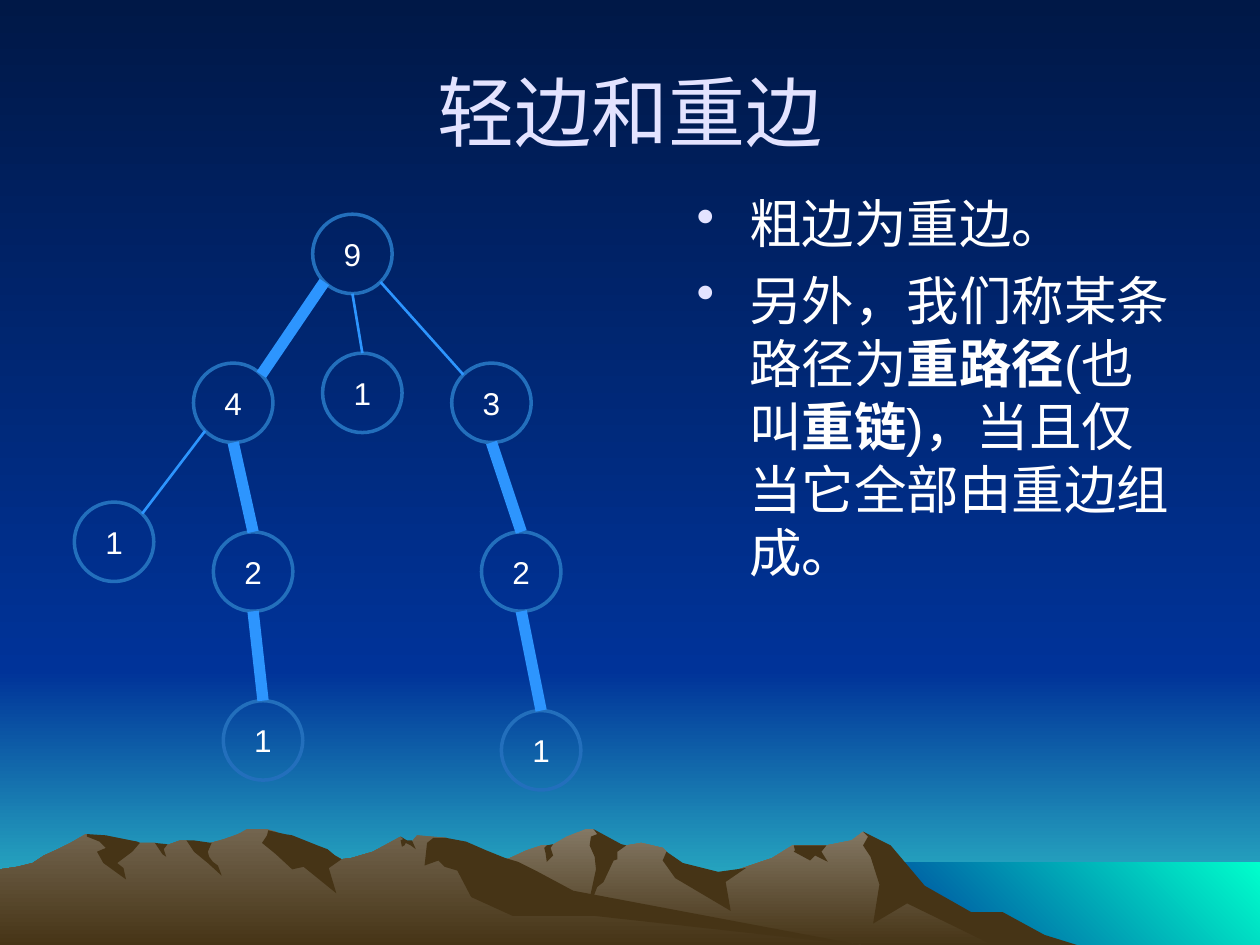
from math import sqrt

from lxml.etree import SubElement
from pptx import Presentation
from pptx.dml.color import RGBColor
from pptx.enum.shapes import MSO_CONNECTOR, MSO_SHAPE
from pptx.enum.text import MSO_ANCHOR, PP_ALIGN
from pptx.oxml.ns import qn
from pptx.util import Inches, Pt

WIDTH, HEIGHT = 10, 7.5
NIGHT = RGBColor(0x00, 0x18, 0x47)
BLUE = RGBColor(0x00, 0x33, 0x99)
HORIZON = RGBColor(0x33, 0xCC, 0xCC)
SEA = RGBColor(0x00, 0xFF, 0xCC)
ROCK = RGBColor(0x84, 0x78, 0x64)
NEAR_ROCK = RGBColor(0x73, 0x65, 0x4F)
EARTH = RGBColor(0x46, 0x34, 0x16)
LAVENDER = RGBColor(0xE3, 0xE3, 0xFF)
WHITE = RGBColor(0xFF, 0xFF, 0xFF)
RING = RGBColor(0x23, 0x6F, 0xBC)
EDGE = RGBColor(0x2D, 0x95, 0xFE)
DOWN, UP_RIGHT = 270, 45

# Outlines in hundredths of an inch from the corner of the slide
FAR_RIDGE = [
    (802, 740), (778, 727), (764, 723), (723, 698), (702, 671), (685, 660), (676, 667),
    (656, 671), (629, 671), (613, 681), (566, 697), (536, 690), (529, 676), (526, 673),
    (509, 669), (486, 673), (474, 661), (471, 658), (465, 658), (450, 664), (438, 671),
    (430, 671), (418, 675), (405, 681), (394, 685), (355, 698), (327, 709), (277, 739),
    (258, 751), (821, 751)]
FAR_SHADES = [
    [(796, 724), (771, 724), (734, 703), (707, 671), (685, 660), (689, 664), (685, 671),
     (691, 680), (698, 702), (693, 733), (720, 717), (792, 752), (858, 751), (829, 742)],
    [(471, 658), (474, 662), (469, 664), (468, 671), (472, 680), (473, 690), (465, 727),
     (474, 704), (479, 700), (487, 683), (490, 682), (490, 676), (497, 671), (493, 670)],
    [(529, 676), (526, 683), (536, 697), (580, 723), (576, 700), (592, 689), (570, 692),
     (542, 685)],
    [(650, 671), (630, 671), (631, 675), (630, 676), (643, 683), (647, 679), (657, 684),
     (652, 676), (656, 671)],
    [(433, 677), (432, 673), (434, 671), (439, 670), (437, 673), (439, 679), (434, 684)]]
NEAR_RIDGE = [
    (690, 751), (667, 748), (432, 712), (354, 665), (331, 663), (327, 668), (323, 668),
    (318, 664), (296, 676), (279, 681), (271, 682), (260, 676), (236, 681), (223, 663),
    (219, 660), (212, 658), (196, 658), (189, 662), (178, 666), (160, 671), (148, 667),
    (143, 667), (132, 671), (128, 671), (123, 669), (111, 669), (94, 671), (68, 662),
    (56, 669), (46, 674), (35, 679), (26, 685), (14, 688), (0, 690), (0, 751)]
NEAR_SHADES = [
    [(212, 663), (208, 669), (219, 678), (232, 690), (241, 688), (267, 709), (261, 689),
     (271, 682), (266, 679), (260, 674), (252, 671), (232, 663), (226, 662), (213, 659)],
    [(370, 668), (354, 665), (344, 665), (339, 669), (337, 687), (348, 683), (353, 688),
     (363, 691), (374, 712), (407, 727), (472, 727), (690, 751), (683, 750), (455, 707),
     (427, 692), (411, 684), (401, 681), (386, 675)],
    [(318, 667), (320, 666), (318, 664), (323, 667), (327, 667), (330, 674), (326, 671),
     (322, 669), (321, 671), (319, 672)],
    [(154, 667), (168, 669), (165, 676), (166, 680), (169, 684), (173, 687), (176, 695),
     (165, 685), (154, 676), (148, 667)],
    [(133, 670), (130, 674), (132, 680), (129, 678), (123, 669)],
    [(109, 668), (111, 669), (105, 676), (93, 685), (98, 689), (100, 698), (82, 685),
     (77, 676), (84, 673), (79, 668), (69, 664), (69, 662), (84, 663), (94, 665)]]

# name: (label, column, row); a node spans 8 grid cells
NODE_SPAN, TREE_COLS, TREE_ROWS = 8, 51, 58
NODES = {
    "root": ("9", 24, 0), "middle": ("1", 25, 14),
    "left": ("4", 12, 15), "right": ("3", 38, 15),
    "outer": ("1", 0, 29), "left2": ("2", 14, 32), "right2": ("2", 41, 32),
    "right3": ("1", 43, 50), "left3": ("1", 15, 49)}
# parent, child, sideways direction of the joint, heavy edge or not
EDGES = [
    ("root", "left", -1, True), ("left", "outer", -1, False),
    ("root", "middle", 0, False), ("root", "right", 1, False),
    ("left", "left2", 0, True), ("left2", "left3", 0, True),
    ("right", "right2", 0, True), ("right2", "right3", 0, True)]


def set_gradient(fill, first, last, angle):
    fill.gradient()
    fill.gradient_angle = angle
    for stop, color in zip(fill.gradient_stops, (first, last)):
        stop.color.rgb = color


def paint(sp, colors, angle=DOWN):
    """Fill with one colour, or with a gradient between two."""
    sp.shadow.inherit = False
    sp.line.fill.background()
    if len(colors) == 2:
        set_gradient(sp.fill, *colors, angle)
    else:
        sp.fill.solid()
        sp.fill.fore_color.rgb = colors[0]


def add_band(s, box, colors, angle=DOWN):
    paint(s.shapes.add_shape(MSO_SHAPE.RECTANGLE, *map(Inches, box)), colors, angle)


def add_outline(s, points, colors):
    builder = s.shapes.build_freeform(*points[0], scale=Inches(0.01))
    builder.add_line_segments(points[1:], close=True)
    paint(builder.convert_to_shape(), colors)


def add_scenery(s, width, height):
    set_gradient(s.background.fill, NIGHT, BLUE, DOWN)
    horizon, shore_x, shore_y = height * 0.71, width * 0.683, height * 0.913
    add_band(s, (0, horizon, width, height - horizon), (BLUE, HORIZON))
    add_band(s, (0, 0, width, horizon), (NIGHT, BLUE))
    add_band(s, (shore_x, shore_y, width - shore_x, height - shore_y), (BLUE, SEA), UP_RIGHT)
    for ridge, color, shades in ((FAR_RIDGE, ROCK, FAR_SHADES),
                                 (NEAR_RIDGE, NEAR_ROCK, NEAR_SHADES)):
        add_outline(s, ridge, (color, EARTH))
        for shade in shades:
            add_outline(s, shade, (EARTH,))


def add_run(p, text, size, color, bold=False):
    r = p.add_run()
    r.text = text
    r.font.color.rgb = color
    for name, value in {"name": "Arial", "size": Pt(size), "bold": bold}.items():
        setattr(r.font, name, value)


def add_title(s, box, text):
    tf = s.shapes.add_textbox(*map(Inches, box)).text_frame
    tf.word_wrap = True
    tf.vertical_anchor = MSO_ANCHOR.MIDDLE
    tf.paragraphs[0].alignment = PP_ALIGN.CENTER
    add_run(tf.paragraphs[0], text, 44, LAVENDER)


def add_bullets(s, box, items):
    """Each item is a list of texts that alternate between regular and bold."""
    tf = s.shapes.add_textbox(*map(Inches, box)).text_frame
    tf.word_wrap = True
    for i, texts in enumerate(items):
        p = tf.add_paragraph() if i else tf.paragraphs[0]
        pPr = p._p.get_or_add_pPr()
        pPr.set("marL", str(Inches(0.46)))
        pPr.set("indent", str(Inches(-0.42)))
        SubElement(SubElement(pPr, qn("a:buClr")), qn("a:srgbClr"), val=str(LAVENDER))
        SubElement(pPr, qn("a:buChar"), char="•")
        p.space_before = Pt(7.5 if i else 0)
        for j, text in enumerate(texts):
            add_run(p, text, 30, WHITE, bold=j % 2 == 1)


def add_tree(s, box):
    left, top, width, height = box
    col, row = width / TREE_COLS, height / TREE_ROWS
    radius = NODE_SPAN / 2

    for label, x, y in NODES.values():
        sp = s.shapes.add_shape(
            MSO_SHAPE.OVAL, Inches(left + x * col), Inches(top + y * row),
            Inches(NODE_SPAN * col), Inches(NODE_SPAN * row))
        sp.shadow.inherit = False
        sp.fill.background()
        sp.line.color.rgb = RING
        sp.line.width = Pt(2)
        tf = sp.text_frame
        tf.vertical_anchor = MSO_ANCHOR.MIDDLE
        tf.paragraphs[0].alignment = PP_ALIGN.CENTER
        add_run(tf.paragraphs[0], label, 18, WHITE)

    def joint(name, dx, dy):
        """Point on the rim of a node in the direction dx, dy."""
        _, x, y = NODES[name]
        reach = radius / sqrt(dx * dx + dy * dy)
        return (Inches(left + (x + radius + dx * reach) * col),
                Inches(top + (y + radius + dy * reach) * row))

    for parent, child, side, heavy in EDGES:
        line = s.shapes.add_connector(
            MSO_CONNECTOR.STRAIGHT, *joint(parent, side, 1), *joint(child, -side, -1))
        line.line.color.rgb = EDGE
        line.line.width = Pt(6.5 if heavy else 1.5)
        SubElement(line._element.spPr, qn("a:effectLst"))


def main():
    prs = Presentation()
    prs.slide_width, prs.slide_height = Inches(WIDTH), Inches(HEIGHT)
    s = prs.slides.add_slide(prs.slide_layouts[6])
    add_scenery(s, WIDTH, HEIGHT)
    add_title(s, (0.5, 0.25, 9, 1.25), "轻边和重边")
    add_bullets(s, (5.39, 1.47, 4, 4.95), [
        ["粗边为重边。"],
        ["另外，我们称某条路径为", "重路径", "(也叫", "重链", ")，当且仅当它全部由重边组成。"]])
    add_tree(s, (0.59, 1.7, 4.02, 4.57))
    prs.save("out.pptx")


if __name__ == "__main__":
    main()
